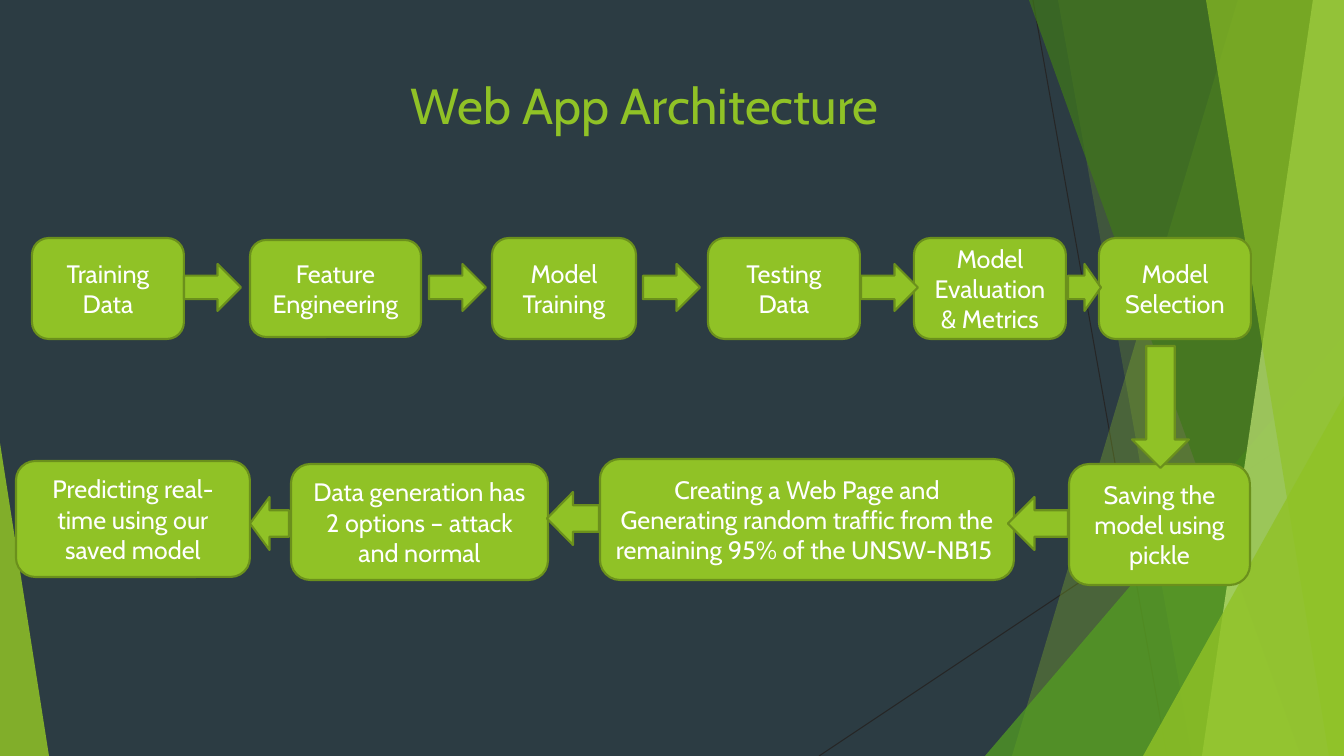
import pptx
import pptx.dml.color
import pptx.enum.shapes
import pptx.enum.text
import pptx.oxml
import pptx.oxml.ns
import pptx.util

SHAPES = pptx.enum.shapes.MSO_SHAPE
ALIGN = pptx.enum.text.PP_ALIGN
COLOURS = {
    "background": "2C3C43",
    "green": "90C226",
    "outline": "6B901C",
    "white": "FFFFFF",
    "line": "262626",
    "leaf": "54A021",
    "forest": "3F7819",
    "lime": "C0E474",
}
WIDTH, HEIGHT = 1344, 756
SCALE = 12192000 / WIDTH

TITLE = ("Web App Architecture", (39, 27, 1211, 154))
TITLE_FONT = {"name": "Cabin", "size": pptx.util.Pt(36)}
STEP_FONT = {"name": "Cabin", "size": pptx.util.Pt(18)}
FRAME_FORMAT = {
    "word_wrap": True,
    "auto_size": pptx.enum.text.MSO_AUTO_SIZE.NONE,
    "vertical_anchor": pptx.enum.text.MSO_ANCHOR.MIDDLE,
}

RAYS = [((1033, 0), (1167, HEIGHT)), ((WIDTH, 406), (819, HEIGHT))]
FACETS = [
    ("band", (1238, 1012), "green", 30),
    ("band", (1058, 1192), "green", 20),
    ("triangle", (985, 336, 359, 420), 1, "leaf", 72),
    ("band", (1029, 1301), "forest", 70),
    ("band", (1313, 1202), "lime", 70),
    ("band", (1206, 1329), "green", 65),
    ("triangle", (1143, 396, 201, 360), 1, "green", 80),
    ("triangle", (0, 443, 49, 313), 0, "green", 85),
]
STEPS = [
    (["Training", "Data"], (32, 238, 152, 101)),
    (["Feature Engineering"], (250, 240, 171, 97)),
    (["Model Training"], (492, 238, 144, 101)),
    (["Testing Data"], (708, 238, 152, 101)),
    (["Model Evaluation & Metrics"], (914, 238, 152, 101)),
    (["Model Selection"], (1099, 238, 152, 101)),
    (["Saving the model using pickle"], (1069, 464, 181, 121)),
    (["Creating a Web Page and Generating random traffic from the remaining 95% of the UNSW-NB15 "],
     (600, 459, 414, 121)),
    (["Data generation has 2 options – attack and normal"], (291, 464, 257, 116)),
    (["Predicting real-time using our saved model"], (16, 461, 234, 116)),
]
ARROWS = [
    (SHAPES.RIGHT_ARROW, [(left, 264, width, 47) for left, width in
                          [(184, 57), (429, 57), (643, 57), (861, 57), (1068, 33)]]),
    (SHAPES.DOWN_ARROW, [(1132, 346, 57, 122)]),
    (SHAPES.LEFT_ARROW, [(1008, 497, 60, 53), (547, 492, 52, 53), (250, 497, 39, 53)]),
]


def emu(pixels):
    return round(pixels * SCALE)


def rgb(name):
    return pptx.dml.color.RGBColor.from_string(COLOURS[name])


def apply(target, values):
    for name, value in values.items():
        setattr(target, name, value)


def paint(shape, fill, alpha=100, outline=None):
    shape.shadow.inherit = False
    shape.fill.solid()
    shape.fill.fore_color.rgb = rgb(fill)
    if alpha < 100:
        colour = shape.fill._xPr.find(".//" + pptx.oxml.ns.qn("a:srgbClr"))
        pptx.oxml.ns.qn("a:alpha")
        element = pptx.oxml.parse_xml(
            f'<a:alpha {pptx.oxml.ns.nsdecls("a")} val="{alpha * 1000}"/>')
        colour.append(element)
    if outline:
        shape.line.color.rgb = rgb(outline)
        shape.line.width = pptx.util.Pt(1.5)
    else:
        shape.line.fill.background()


def write(shape, lines, font, colour):
    frame = shape.text_frame
    frame.text = "\n".join(lines)
    apply(frame, FRAME_FORMAT)
    for paragraph in frame.paragraphs:
        paragraph.alignment = ALIGN.CENTER
        for run in paragraph.runs:
            apply(run.font, font)
            run.font.color.rgb = rgb(colour)


def add_preset(slide, preset, box):
    return slide.shapes.add_shape(preset, *map(emu, box))


def add_ray(slide, start, end):
    ray = slide.shapes.add_connector(
        pptx.enum.shapes.MSO_CONNECTOR.STRAIGHT, *map(emu, start + end))
    ray.line.color.rgb = rgb("line")
    ray.line.width = pptx.util.Pt(0.75)
    ray._element.spPr.append(
        pptx.oxml.parse_xml(f'<a:effectLst {pptx.oxml.ns.nsdecls("a")}/>'))


def add_facet(slide, kind, geometry, *style):
    if kind == "band":
        top, bottom = geometry
        builder = slide.shapes.build_freeform(top, 0, scale=SCALE)
        builder.add_line_segments(
            [(WIDTH, 0), (WIDTH, HEIGHT), (bottom, HEIGHT)], close=True)
        facet = builder.convert_to_shape()
    else:
        apex, *style = style
        facet = add_preset(slide, SHAPES.ISOSCELES_TRIANGLE, geometry)
        facet.adjustments[0] = apex
    paint(facet, *style)


def main():
    presentation = pptx.Presentation()
    apply(presentation, {"slide_width": emu(WIDTH), "slide_height": emu(HEIGHT)})
    slide = presentation.slides.add_slide(presentation.slide_layouts[5])
    slide.background.fill.solid()
    slide.background.fill.fore_color.rgb = rgb("background")

    for start, end in RAYS:
        add_ray(slide, start, end)
    for facet in FACETS:
        add_facet(slide, *facet)

    text, box = TITLE
    title = slide.shapes.title
    apply(title, dict(zip(("left", "top", "width", "height"), map(emu, box))))
    write(title, [text], TITLE_FONT, "green")

    for lines, box in STEPS:
        step = add_preset(slide, SHAPES.ROUNDED_RECTANGLE, box)
        paint(step, "green", outline="outline")
        write(step, lines, STEP_FONT, "white")
    for preset, boxes in ARROWS:
        for box in boxes:
            paint(add_preset(slide, preset, box), "green", outline="outline")

    presentation.save("out.pptx")


if __name__ == "__main__":
    main()
